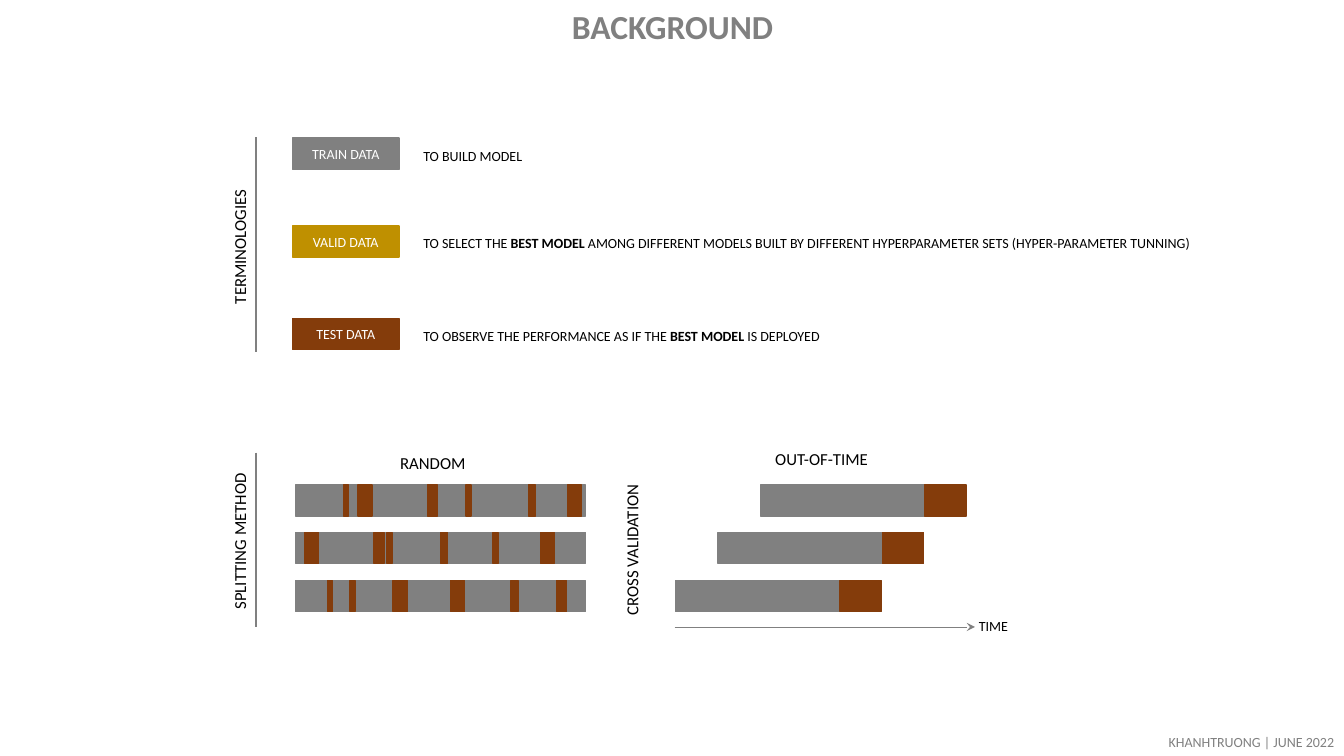
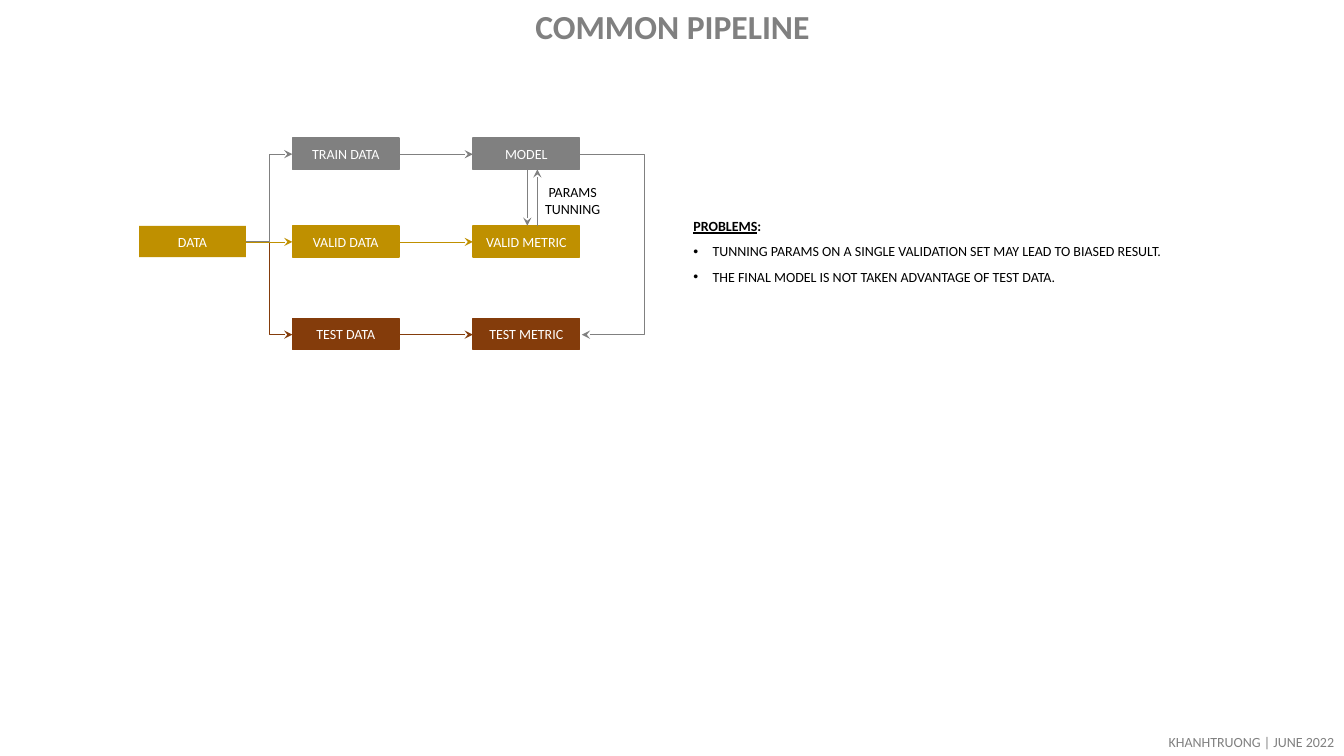
from lxml import etree
from pptx import Presentation
from pptx.dml.color import RGBColor
from pptx.enum.shapes import MSO_CONNECTOR, MSO_SHAPE
from pptx.enum.text import MSO_ANCHOR, MSO_AUTO_SIZE, PP_ALIGN
from pptx.oxml.ns import qn
from pptx.util import Emu, Pt

PX = 9144  # 100 px to the inch
RECT = MSO_SHAPE.RECTANGLE
STRAIGHT, ELBOW = MSO_CONNECTOR.STRAIGHT, MSO_CONNECTOR.ELBOW
LEFT, CENTER, RIGHT = PP_ALIGN.LEFT, PP_ALIGN.CENTER, PP_ALIGN.RIGHT
MIDDLE = MSO_ANCHOR.MIDDLE
FIT, NO_FIT = MSO_AUTO_SIZE.SHAPE_TO_FIT_TEXT, MSO_AUTO_SIZE.NONE

COLORS = {"train": "808080", "valid": "BF9000", "test": "843C0B",
          "muted": "808080", "text": "000000", "white": "FFFFFF"}
FONT = "Calibri"
BOLD = {"bold": True}

BOX_W, BOX_H = 106, 31
ROW_Y = {"train": 137, "valid": 224, "test": 316}
MID_Y = {kind: y + 16 for kind, y in ROW_Y.items()}
DATA_X, SPLIT_X, METRIC_X = 138, 290, 469

STRIP_Y = (481, 528, 576)
STRIP_X, STRIP_W = 293, 288
RANDOM_TESTS = (  # left and width of the test parts in each strip
    ((341, 5), (355, 14), (424, 10), (462, 5), (524, 7), (563, 14)),
    ((302, 14), (371, 10), (384, 5), (437, 7), (489, 5), (536, 14)),
    ((325, 5), (347, 5), (390, 14), (447, 14), (507, 7), (552, 10)),
)
WINDOW_X, WINDOW_W, WINDOW_STEP, WINDOW_TEST_W = 754, 204, 42, 41


def px(*values):
    return [Emu(v * PX) for v in values]


def rgb(name):
    return RGBColor.from_string(COLORS[name])


def write(tf, paragraphs, size, color, align):
    """Each paragraph is a list of (text, font settings) runs."""
    for i, runs in enumerate(paragraphs):
        p = tf.paragraphs[0] if i == 0 else tf.add_paragraph()
        p.alignment = align
        for text, settings in runs:
            r = p.add_run()
            r.text = text
            r.font.color.rgb = rgb(color)
            for key, value in {"name": FONT, "size": Pt(size), **settings}.items():
                setattr(r.font, key, value)


def add_text(s, box, paragraphs, size=10, color="text", align=LEFT,
             rotation=0, **frame):
    if isinstance(paragraphs, str):
        paragraphs = [[(paragraphs, {})]]
    sp = s.shapes.add_textbox(*px(*box))
    sp.rotation = rotation
    tf = sp.text_frame
    for key, value in {"word_wrap": False, "auto_size": FIT, **frame}.items():
        setattr(tf, key, value)
    write(tf, paragraphs, size, color, align)
    return tf


def add_rect(shapes, x, y, w, color, outlined=True):
    sp = shapes.add_shape(RECT, *px(x, y, w, BOX_H))
    sp.shadow.inherit = False
    sp.fill.solid()
    sp.fill.fore_color.rgb = rgb(color)
    if outlined:
        sp.line.color.rgb = rgb(color)
        sp.line.width = Pt(1)
    else:
        sp.line.fill.background()
    return sp


def add_box(s, x, kind, label, outlined=True):
    tf = add_rect(s.shapes, x, ROW_Y[kind], BOX_W, kind, outlined).text_frame
    tf.vertical_anchor = MIDDLE
    tf.margin_left = tf.margin_right = 0
    write(tf, [[(label, {})]], 10, "white", CENTER)


def add_line(s, start, end, color="muted", width=1, kind=STRAIGHT):
    c = s.shapes.add_connector(kind, *px(*start, *end))
    c.line.color.rgb = rgb(color)
    c.line.width = Pt(width)
    etree.SubElement(c._element.spPr, qn("a:effectLst"))
    return c


def add_arrow(s, start, end, color="muted", kind=STRAIGHT, bend=None):
    """bend places the elbow, as a multiple of the arrow's width."""
    c = add_line(s, start, end, color, 0.5, kind)
    etree.SubElement(c.line._get_or_add_ln(), qn("a:tailEnd"), type="stealth")
    if bend is not None:
        guides = c._element.spPr.find(qn("a:prstGeom")).get_or_add_avLst()
        etree.SubElement(guides, qn("a:gd"), name="adj1",
                         fmla=f"val {bend * 100000}")


def add_bullet(p):
    p.space_before = Pt(6)
    pPr = p._p.get_or_add_pPr()
    pPr.set("marL", str(19 * PX))
    pPr.set("indent", str(-19 * PX))
    etree.SubElement(pPr, qn("a:buFont"), typeface="Arial")
    etree.SubElement(pPr, qn("a:buChar"), char="•")


def add_slide(prs, title):
    s = prs.slides.add_slide(prs.slide_layouts[6])
    tf = add_text(s, (92, 3, 1150, 51), [[(title, BOLD)]], 24, "muted", CENTER,
                  word_wrap=True, auto_size=NO_FIT, vertical_anchor=MIDDLE)
    tf.paragraphs[0].line_spacing = 0.9
    add_text(s, (1146, 723, 187, 27), "KHANHTRUONG | JUNE 2022",
             color="muted", align=RIGHT)
    for kind in ROW_Y:
        add_box(s, SPLIT_X, kind, f"{kind.upper()} DATA")
    return s


def add_terminologies(s):
    best = ("BEST MODEL ", BOLD)
    meanings = {
        "train": (120, [("TO BUILD MODEL", {})]),
        "valid": (810, [("TO SELECT THE ", {}), best,
                        ("AMONG DIFFERENT MODELS BUILT BY DIFFERENT HYPERPARAMETER "
                         "SETS (HYPER-PARAMETER TUNNING)", {})]),
        "test": (420, [("TO OBSERVE THE PERFORMANCE AS IF THE ", {}), best,
                       ("IS DEPLOYED", {})]),
    }
    for kind, (w, runs) in meanings.items():
        add_text(s, (410, ROW_Y[kind] + 4, w, 27), [runs])


def add_random_strips(s):
    for y, tests in zip(STRIP_Y, RANDOM_TESTS):
        strip = s.shapes.add_group_shape()
        add_rect(strip.shapes, STRIP_X, y, STRIP_W, "train")
        for x, w in tests:
            add_rect(strip.shapes, x, y, w, "test")


def add_time_windows(s):
    for i, y in enumerate(STRIP_Y):
        x = WINDOW_X - i * WINDOW_STEP
        add_rect(s.shapes, x, y, WINDOW_W, "train")
        add_rect(s.shapes, x + WINDOW_W - WINDOW_TEST_W, y, WINDOW_TEST_W, "test")
    add_arrow(s, (669, 622), (967, 622))
    add_text(s, (961, 608, 49, 27), "TIME")


def background_slide(prs):
    s = add_slide(prs, "BACKGROUND")
    add_terminologies(s)
    for top, bottom in ((136, 349), (449, 622)):
        add_line(s, (254, top), (254, bottom))
    for box, label in (((170, 229, 135, 30), "TERMINOLOGIES"),
                       ((159, 521, 157, 30), "SPLITTING METHOD"),
                       ((551, 530, 151, 30), "CROSS VALIDATION")):
        add_text(s, box, label, 12, rotation=270)
    add_text(s, (387, 444, 86, 30), "RANDOM", 12)
    add_text(s, (759, 440, 113, 30), "OUT-OF-TIME", 12)
    add_random_strips(s)
    add_time_windows(s)


def pipeline_slide(prs):
    s = add_slide(prs, "COMMON PIPELINE")
    add_box(s, DATA_X, "valid", "DATA", outlined=False)
    results = {"train": "MODEL", "valid": "VALID METRIC", "test": "TEST METRIC"}
    for kind, label in results.items():
        add_box(s, METRIC_X, kind, label)

    source = (DATA_X + BOX_W, MID_Y["valid"])
    for kind in ("train", "test", "valid"):
        y = MID_Y[kind]
        add_arrow(s, source, (SPLIT_X, y), kind,
                  STRAIGHT if kind == "valid" else ELBOW)
        add_arrow(s, (SPLIT_X + BOX_W, y), (METRIC_X, y), kind)

    model_bottom = ROW_Y["train"] + BOX_H
    add_arrow(s, (523, model_bottom), (523, ROW_Y["valid"]))
    add_arrow(s, (533, ROW_Y["valid"]), (533, model_bottom))
    right = METRIC_X + BOX_W
    add_arrow(s, (right, MID_Y["train"]), (right + 2, MID_Y["test"]),
              kind=ELBOW, bend=32)
    add_text(s, (530, 177, 76, 44), [[("PARAMS", {})], [("TUNNING", {})]],
             align=CENTER, word_wrap=True)

    tf = add_text(s, (678, 211, 493, 77), [
        [("PROBLEMS", {"bold": True, "underline": True}), (":", BOLD)],
        [("TUNNING PARAMS ON A SINGLE VALIDATION SET MAY LEAD TO BIASED RESULT.", {})],
        [("THE FINAL MODEL IS NOT TAKEN ADVANTAGE OF TEST DATA.", {})],
    ])
    for p in tf.paragraphs[1:]:
        add_bullet(p)


def main():
    prs = Presentation()
    prs.slide_width, prs.slide_height = px(1333, 750)
    background_slide(prs)
    pipeline_slide(prs)
    prs.save("out.pptx")


if __name__ == "__main__":
    main()
